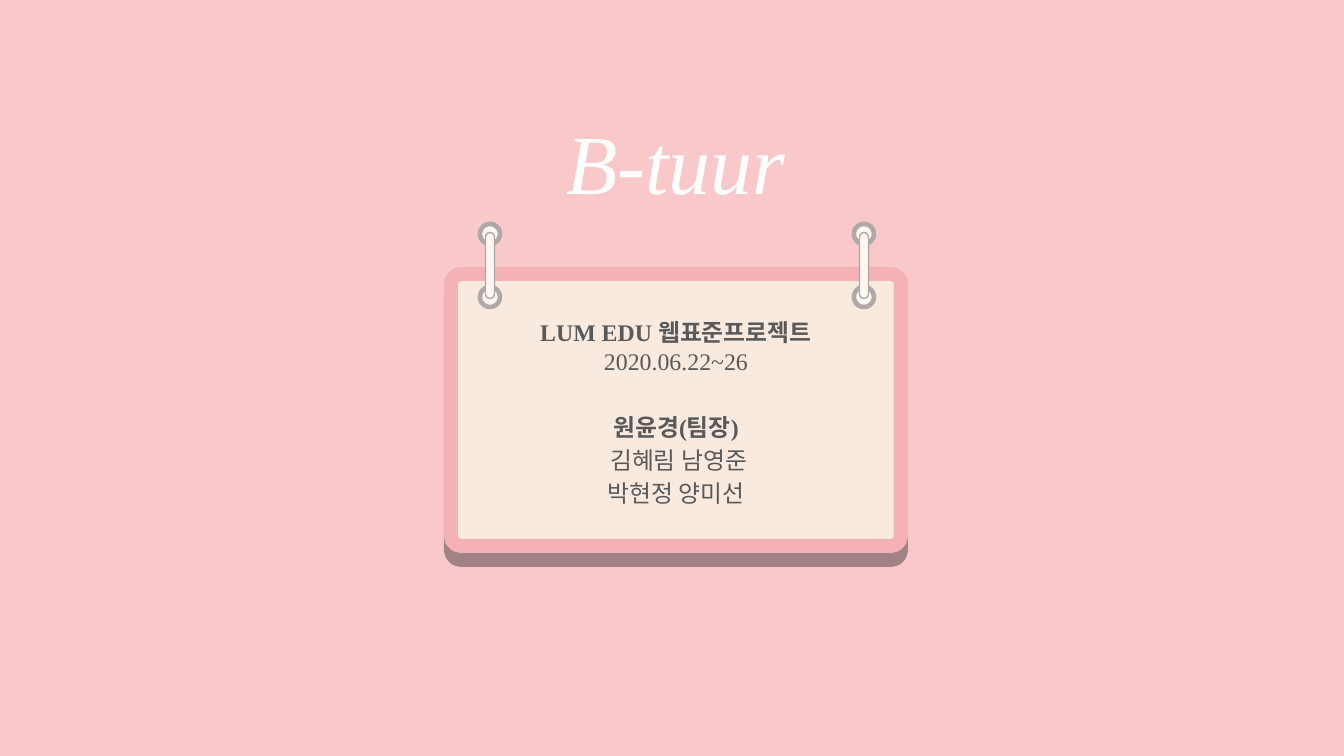
"""Build the B-tuur cover slide: a hanging sign with the project and its team."""
from lxml import etree
from pptx import Presentation
from pptx.dml.color import RGBColor
from pptx.enum.shapes import MSO_SHAPE
from pptx.enum.text import MSO_ANCHOR, MSO_AUTO_SIZE, PP_ALIGN
from pptx.oxml.ns import qn
from pptx.util import Emu, Pt

OVAL, ROUND = MSO_SHAPE.OVAL, MSO_SHAPE.ROUNDED_RECTANGLE
TOP, BOTTOM = MSO_ANCHOR.TOP, MSO_ANCHOR.BOTTOM
CENTER, NO_FIT = PP_ALIGN.CENTER, MSO_AUTO_SIZE.NONE

TITLE = "B-tuur"
SIGN_LINES = [
    ("LUM EDU 웹표준프로젝트", dict(bold=True)),
    ("2020.06.22~26", {}),
    ("원윤경(팀장)", dict(bold=True, spacing=1.15, before=24)),
    (" 김혜림 남영준", dict(spacing=1.15)),
    ("박현정 양미선", dict(spacing=1.15)),
]
FONT = "Times New Roman"
PINK, ROSE, CREAM = "F9C8CB", "F4B2B6", "F8EADF"
IVORY, STEEL, GRAY, WHITE = "FFF8F2", "AFA8A7", "595959", "FFFFFF"

TITLE_BOX = (345, 105, 662, 103)
CARD_BOX = (451, 274, 450, 272)
TEXT_BOX = (459, 216, 434, 296)
HOOK_CENTERS = (490, 864)
RING_CENTERS = (297, 234)
RING, STRAP_W, STRAP_H = 20, 9, 66
INSET = 5


def px(n):
    return Emu(round(n * 914400 / 100.8))


def color(value):
    return RGBColor.from_string(value)


def add_shape(kind, box, fill, line, width, adj=None):
    sp = s.shapes.add_shape(kind, *map(px, box))
    sp.shadow.inherit = False
    sp.fill.solid()
    sp.fill.fore_color.rgb = color(fill)
    sp.line.color.rgb = color(line)
    sp.line.width = Pt(width)
    if adj is not None:
        sp.adjustments[0] = adj
    return sp


def drop_shadow(sp, distance, opacity):
    effects = sp.element.spPr.find(qn("a:effectLst"))
    shadow = etree.SubElement(effects, qn("a:outerShdw"), blurRad="0",
                              dist=str(Pt(distance)), dir="5400000",
                              algn="t", rotWithShape="0")
    black = etree.SubElement(shadow, qn("a:srgbClr"), val="000000")
    etree.SubElement(black, qn("a:alpha"), val=str(opacity * 1000))


def place(sp, box, anchor):
    sp.left, sp.top, sp.width, sp.height = map(px, box)
    tf = sp.text_frame
    tf.auto_size, tf.word_wrap, tf.vertical_anchor = NO_FIT, True, anchor
    tf.margin_left = tf.margin_right = px(INSET)
    tf.margin_top = tf.margin_bottom = px(INSET)
    return tf


def write(p, text, size=17, fill=GRAY, bold=False, italic=False, spacing=1.0, before=0):
    p.alignment, p.line_spacing, p.space_before = CENTER, spacing, Pt(before)
    r = p.add_run()
    r.text = text
    r.font.name, r.font.size = FONT, Pt(size)
    r.font.bold, r.font.italic = bold, italic
    r.font.color.rgb = color(fill)


prs = Presentation()
prs.slide_width, prs.slide_height = px(1344), px(756)
s = prs.slides.add_slide(prs.slide_layouts[0])
s.background.fill.solid()
s.background.fill.fore_color.rgb = color(PINK)
title, body = s.placeholders

card = add_shape(ROUND, CARD_BOX, CREAM, ROSE, 10, 0.036)
drop_shadow(card, 10, 34)
card.element.addnext(body.element)

tf = place(title, TITLE_BOX, TOP)
write(tf.paragraphs[0], TITLE, size=60, fill=WHITE, italic=True)
tf = place(body, TEXT_BOX, BOTTOM)
for i, (text, style) in enumerate(SIGN_LINES):
    write(tf.add_paragraph() if i else tf.paragraphs[0], text, **style)

strap_top = sum(RING_CENTERS) / 2 - STRAP_H / 2
for x in HOOK_CENTERS:
    for y in RING_CENTERS:
        add_shape(OVAL, (x - RING / 2, y - RING / 2, RING, RING), IVORY, STEEL, 3.25)
    add_shape(ROUND, (x - STRAP_W / 2, strap_top, STRAP_W, STRAP_H), IVORY, STEEL, 1, 0.5)

prs.save("out.pptx")
